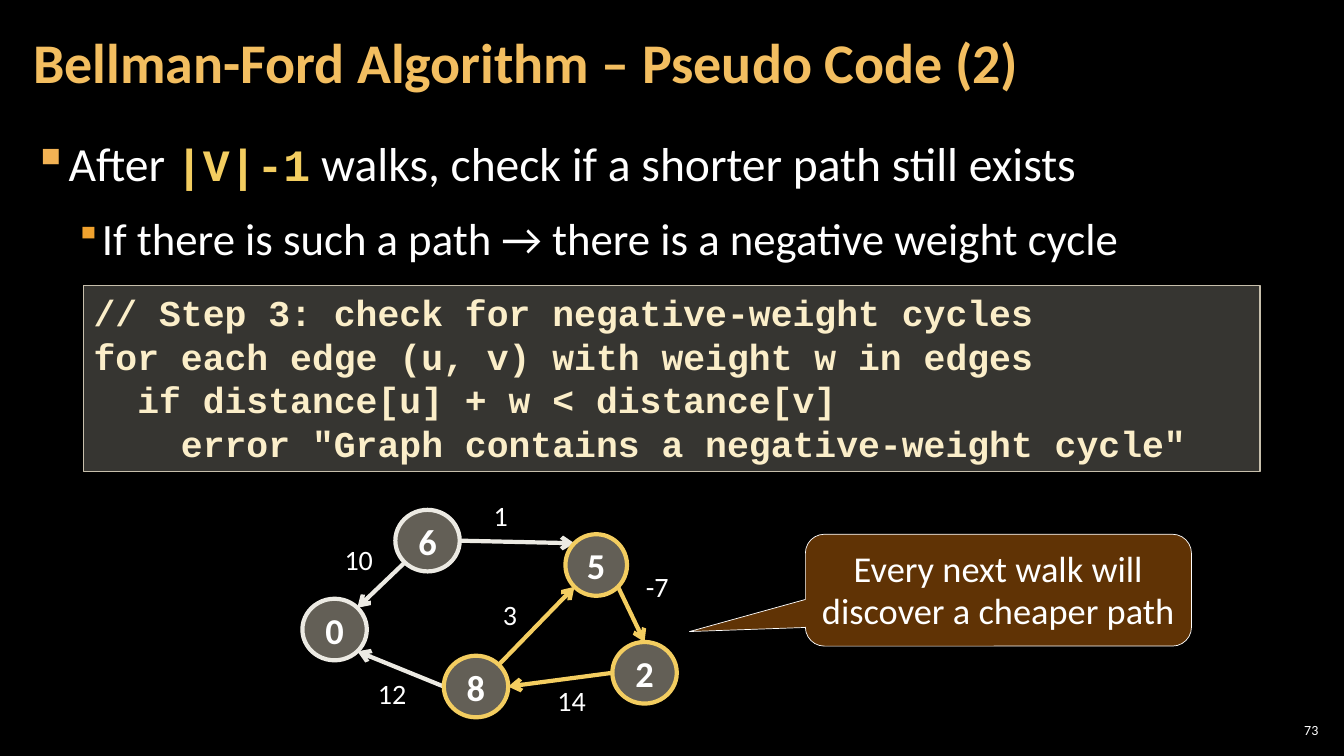
"""Build the slide on step 3 of the Bellman-Ford pseudo code."""
from dataclasses import dataclass
from math import hypot

from lxml import etree
from pptx import Presentation
from pptx.dml.color import RGBColor
from pptx.enum.shapes import MSO_CONNECTOR, MSO_SHAPE
from pptx.enum.text import MSO_ANCHOR, MSO_AUTO_SIZE, PP_ALIGN
from pptx.oxml.ns import qn
from pptx.util import Pt

LINE = MSO_CONNECTOR.STRAIGHT
RECT, OVAL = MSO_SHAPE.RECTANGLE, MSO_SHAPE.OVAL
CALL = MSO_SHAPE.ROUNDED_RECTANGULAR_CALLOUT
TOP, MIDDLE = MSO_ANCHOR.TOP, MSO_ANCHOR.MIDDLE
LEFT, CENTER, RIGHT = PP_ALIGN.LEFT, PP_ALIGN.CENTER, PP_ALIGN.RIGHT
GROW = MSO_AUTO_SIZE.SHAPE_TO_FIT_TEXT


@dataclass(frozen=True)
class Theme:
    sans: str = "Calibri"
    mono: str = "Courier New"
    back: str = "000000"
    white: str = "FFFFFF"
    title: str = "F3BE60"
    gold: str = "F3CD60"
    pale: str = "ECEAE3"
    stone: str = "C7BFAC"
    panel: str = "D9D5C7"
    code: str = "FBEEC9"
    brown: str = "663606"
    dots: tuple = ("F2B254", "F0A22E")
    head: int = 40
    body: int = 34
    sub: int = 32
    text: int = 26
    label: int = 20
    page: int = 10


T = Theme()


def write(shape, paras, align=LEFT, anchor=TOP, pad=(7.2, 3.6), wrap=True):
    """Fill a shape with paragraphs of (text, size, colour, font, bold) runs."""
    frame = shape.text_frame
    frame.word_wrap = wrap
    frame.vertical_anchor = anchor
    frame.margin_left = frame.margin_right = Pt(pad[0])
    frame.margin_top = frame.margin_bottom = Pt(pad[1])
    for i, runs in enumerate(paras):
        para = frame.add_paragraph() if i else frame.paragraphs[0]
        para.alignment = align
        for text, size, color, font, bold in runs:
            run = para.add_run()
            run.text = text
            run.font.size = Pt(size)
            run.font.color.rgb = RGBColor.from_string(color)
            run.font.name = font
            run.font.bold = bold
    return frame


def paint(shape, fill, alpha, line, width):
    """Give a shape a partly clear fill and a plain outline."""
    shape.shadow.inherit = False
    shape.fill.solid()
    shape.fill.fore_color.rgb = RGBColor.from_string(fill)
    tint = shape.fill._xPr.find(qn("a:solidFill"))[0]
    etree.SubElement(tint, qn("a:alpha"), val=str(alpha * 1000))
    shape.line.color.rgb = RGBColor.from_string(line)
    shape.line.width = Pt(width)


deck = Presentation()
deck.slide_width, deck.slide_height = Pt(960), Pt(540)
slide = deck.slides.add_slide(deck.slide_layouts[6])
slide.background.fill.solid()
slide.background.fill.fore_color.rgb = RGBColor.from_string(T.back)
shapes = slide.shapes

page = shapes.add_textbox(Pt(910.8), Pt(514), Pt(33.8), Pt(15.1))
write(page, [[("73", T.page, T.white, T.sans, False)]], RIGHT, MIDDLE, (2.9, 2.9))

title = shapes.add_textbox(Pt(15.1), Pt(2.9), Pt(753.8), Pt(87.1))
heading = "Bellman-Ford Algorithm – Pseudo Code (2)"
frame = write(title, [[(heading, T.head, T.title, T.sans, True)]], LEFT, MIDDLE, (8.6, 2.9))
frame.paragraphs[0].line_spacing = 0.9

body = shapes.add_textbox(Pt(15.1), Pt(90.7), Pt(929.5), Pt(438.5))
points = [
    [("After ", T.body, T.white, T.sans, False),
     ("|V|-1", T.sub, T.gold, T.mono, True),
     (" walks, check if a shorter path still exists", T.body, T.white, T.sans, False)],
    [("If there is such a path → there is a negative weight cycle",
      T.sub, T.white, T.sans, False)],
]
frame = write(body, points, pad=(8.6, 2.9))
indents = [(24, -24, 100), (48, -18, 80)]
for i, (para, (left, hang, size)) in enumerate(zip(frame.paragraphs, indents)):
    para.level = i
    props = para._p.get_or_add_pPr()
    props.set("marL", str(Pt(left)))
    props.set("indent", str(Pt(hang)))
    tint = etree.SubElement(props, qn("a:buClr"))
    etree.SubElement(tint, qn("a:srgbClr"), val=T.dots[i])
    etree.SubElement(props, qn("a:buSzPct"), val=str(size * 1000))
    etree.SubElement(props, qn("a:buChar"), char="▪")
    para.line_spacing = 1.05
    para.space_before = Pt(6 * i)
    para.space_after = Pt(6)

code = shapes.add_shape(RECT, Pt(59.8), Pt(203.8), Pt(840.2), Pt(133.2))
paint(code, T.panel, 25, T.stone, 1)
lines = [
    "// Step 3: check for negative-weight cycles",
    "for each edge (u, v) with weight w in edges",
    "  if distance[u] + w < distance[v]",
    "    error \"Graph contains a negative-weight cycle\"",
]
write(code, [[(line, T.text, T.code, T.mono, True)] for line in lines]).auto_size = GROW

graph = shapes.add_group_shape().shapes
nodes = {
    "5": (425.9, 403.6, 44, T.gold),
    "2": (460.4, 480.6, 46, T.gold),
    "6": (305.4, 386.2, 46, T.pale),
    "0": (239, 449.7, 46, T.pale),
    "8": (340, 490.4, 46, T.gold),
}
TALL = 44
edges = [
    ("2", (-1, 0), "8", (1, 0), T.gold),
    ("8", (1, -1), "5", (-1, 1), T.gold),
    ("5", (1, 1), "2", (0, -1), T.gold),
    ("6", (-1, 1), "0", (1, -1), T.pale),
    ("8", (-1, 0), "0", (1, 1), T.pale),
    ("6", (1, 0), "5", (-1, -1), T.pale),
]
for start, out, end, into, color in edges:
    ends = []
    for name, (dx, dy) in ((start, out), (end, into)):
        x, y, wide, _ = nodes[name]
        norm = 2 * hypot(dx, dy)
        ends += [Pt(x + wide * dx / norm), Pt(y + TALL * dy / norm)]
    edge = graph.add_connector(LINE, *ends)
    edge.line.color.rgb = RGBColor.from_string(color)
    edge.line.width = Pt(3)
    etree.SubElement(edge.line._get_or_add_ln(), qn("a:tailEnd"), type="arrow")
    etree.SubElement(edge._element.spPr, qn("a:effectLst"))

for name, (x, y, wide, color) in nodes.items():
    node = graph.add_shape(OVAL, Pt(x - wide / 2), Pt(y - TALL / 2), Pt(wide), Pt(TALL))
    paint(node, T.stone, 50, color, 3)
    write(node, [[(name, T.text, T.white, T.sans, True)]], CENTER, MIDDLE, (2.9, 3.6))

weights = [
    ("10", 239, 383.8, 35.3), ("12", 262.8, 479.5, 35.3), ("14", 391, 484.6, 35.3),
    ("3", 352.1, 423.4, 24.5), ("-7", 454.3, 403.2, 31), ("1", 345.6, 352.8, 24.5),
]
for cost, x, y, wide in weights:
    label = graph.add_textbox(Pt(x), Pt(y), Pt(wide), Pt(31.7))
    frame = write(label, [[(cost, T.label, T.white, T.sans, False)]], wrap=False)
    frame.auto_size = GROW

call = shapes.add_shape(CALL, Pt(575.3), Pt(381.6), Pt(275.8), Pt(79.9))
for i, value in enumerate((-0.8, 0.37, 0.17)):
    call.adjustments[i] = value
paint(call, T.brown, 95, T.white, 0.5)
note = "Every next walk will discover a cheaper path"
frame = write(call, [[(note, T.text, T.white, T.sans, False)]], CENTER, pad=(7.2, 5.8))
frame.paragraphs[0].line_spacing = Pt(30)
frame.auto_size = GROW

deck.save("out.pptx")
